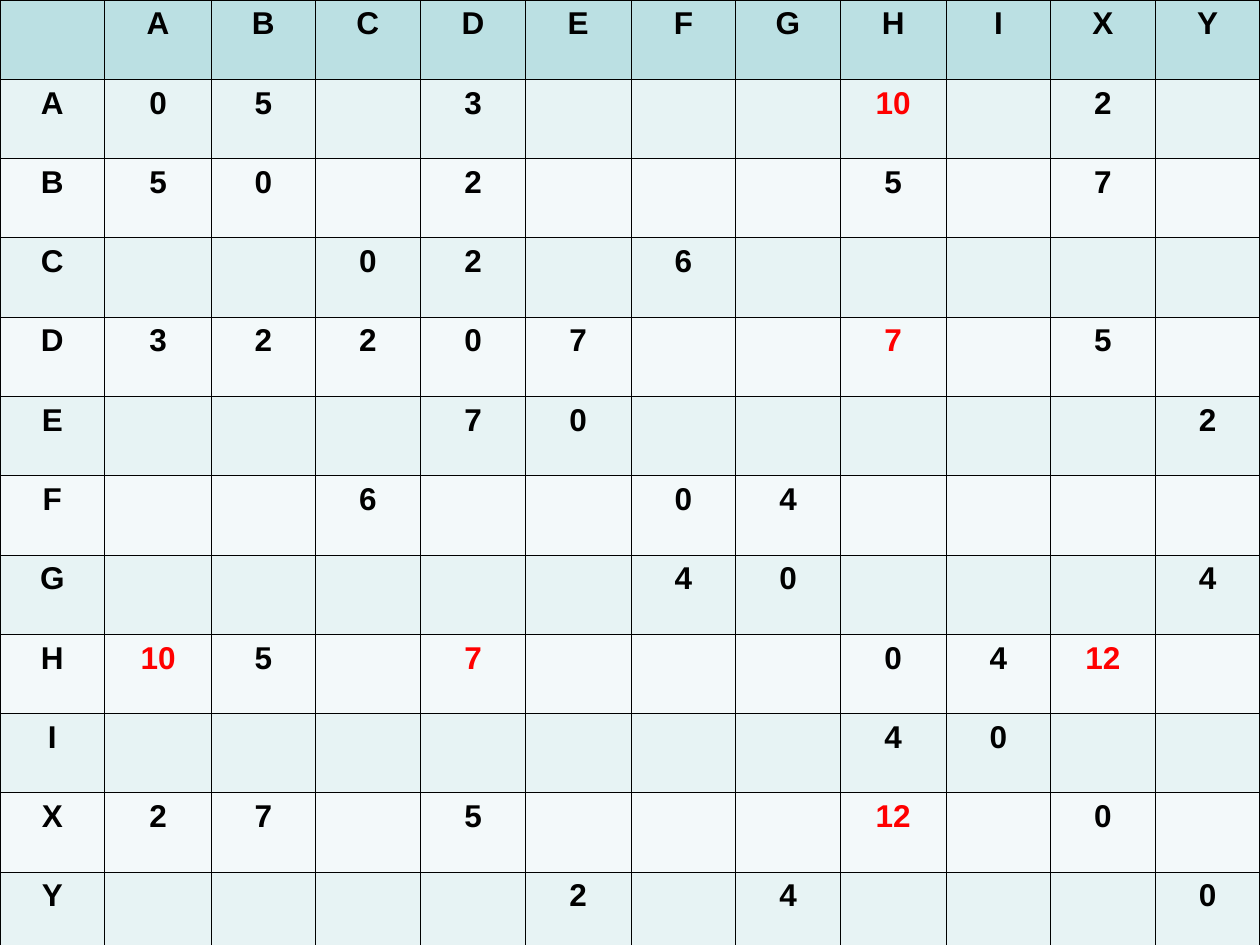
from lxml.etree import SubElement
from pptx import Presentation
from pptx.dml.color import RGBColor
from pptx.enum.text import PP_ALIGN as Align
from pptx.oxml.ns import qn
from pptx.util import Inches, Pt

NODES = "ABCDEFGHIXY"
# The matrix is symmetric: each link fills two cells.
LINKS = {
    "AB": 5, "AD": 3, "AH": 10, "AX": 2,
    "BD": 2, "BH": 5, "BX": 7,
    "CD": 2, "CF": 6,
    "DE": 7, "DH": 7, "DX": 5,
    "EY": 2, "FG": 4, "GY": 4,
    "HI": 4, "HX": 12,
}
MARKED = {"AH", "DH", "HX"}

WIDTHS = [0.83, 0.85, 0.82, 0.84, 0.83, 0.84, 0.83, 0.83, 0.84, 0.83, 0.83, 0.83]
HEIGHT = 7.55
BLACK = RGBColor(0x00, 0x00, 0x00)
RED = RGBColor(0xFF, 0x00, 0x00)
HEAD = RGBColor(0xBB, 0xE0, 0xE3)
BANDS = [RGBColor(0xF3, 0xF9, 0xFA), RGBColor(0xE7, 0xF3, 0xF4)]


def add_lines(cell, color=BLACK, width=0.45):
    """Draw all four borders; call before the fill, which must follow them."""
    props = cell._tc.get_or_add_tcPr()
    for side in ("a:lnL", "a:lnR", "a:lnT", "a:lnB"):
        line = SubElement(props, qn(side), w=str(Pt(width)))
        fill = SubElement(line, qn("a:solidFill"))
        SubElement(fill, qn("a:srgbClr"), val=str(color))


def write(cell, text, size=18, color=BLACK, bold=True, align=Align.CENTER):
    par = cell.text_frame.paragraphs[0]
    par.alignment = align
    run = par.add_run()
    run.text = text
    font = run.font
    font.name, font.size, font.bold = "Arial", Pt(size), bold
    font.color.rgb = color


def label(row, col):
    """Text and colour of the cell at a row and column of the grid."""
    if row == 0 or col == 0:
        return (NODES[row + col - 1] if row + col else ""), BLACK
    if row == col:
        return "0", BLACK
    pair = NODES[min(row, col) - 1] + NODES[max(row, col) - 1]
    return str(LINKS.get(pair, "")), RED if pair in MARKED else BLACK


def main():
    prs = Presentation()
    prs.slide_width, prs.slide_height = Inches(10), Inches(7.5)
    slide = prs.slides.add_slide(prs.slide_layouts[6])
    count = len(NODES) + 1
    table = slide.shapes.add_table(
        count, count, 0, 0, Inches(10), Inches(HEIGHT)).table
    table.horz_banding = False
    for col, width in zip(table.columns, WIDTHS):
        col.width = Inches(width)
    for row in range(count):
        for col in range(count):
            cell = table.cell(row, col)
            add_lines(cell)
            cell.fill.solid()
            cell.fill.fore_color.rgb = BANDS[row % 2] if row else HEAD
            text, color = label(row, col)
            if text:
                write(cell, text, color=color)
    prs.save("out.pptx")


if __name__ == "__main__":
    main()
